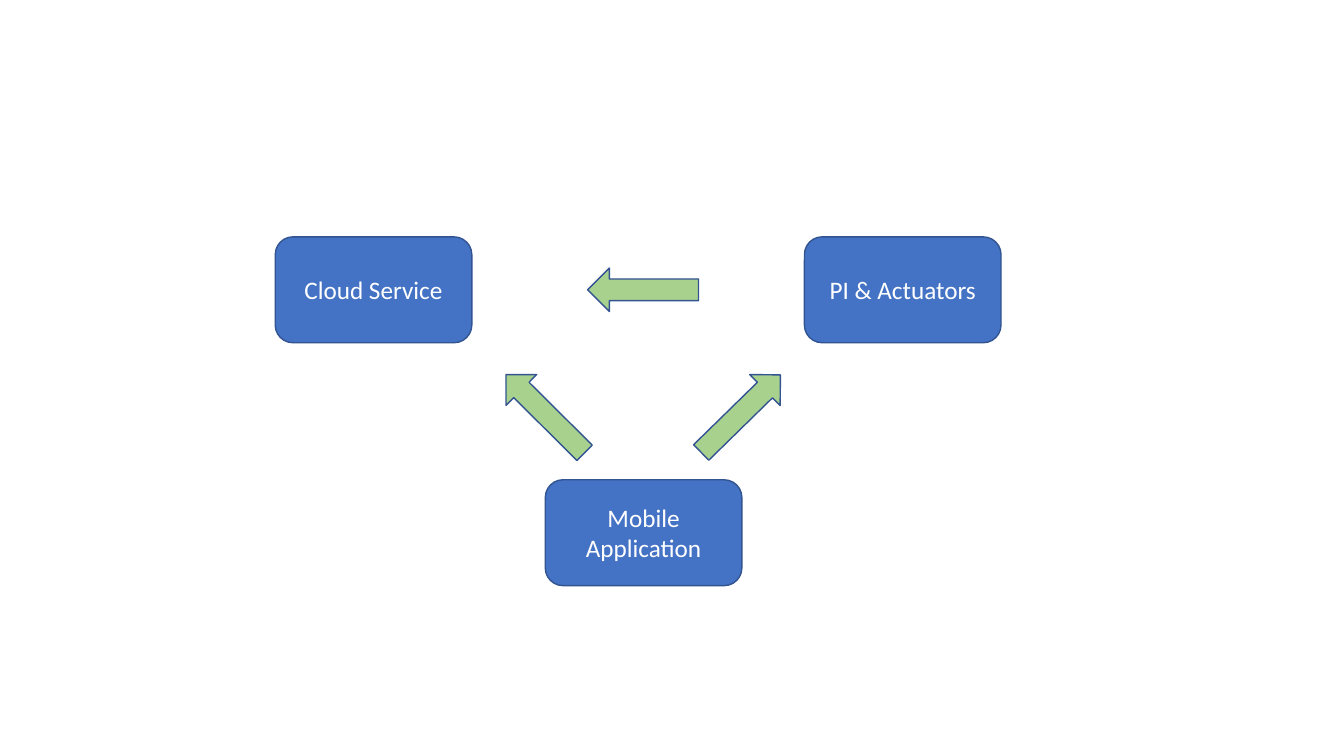
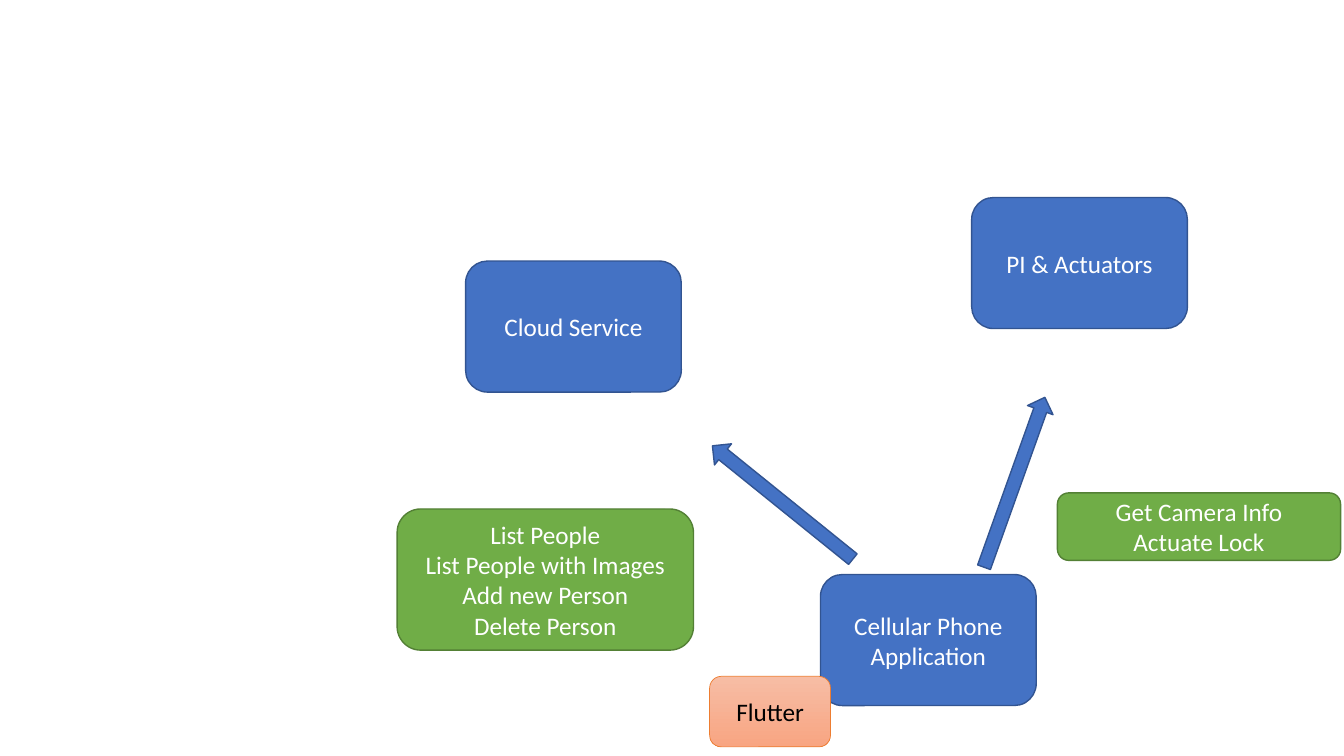
from dataclasses import dataclass

from pptx import Presentation
from pptx.dml.color import RGBColor
from pptx.enum.shapes import MSO_SHAPE
from pptx.enum.text import MSO_ANCHOR, PP_ALIGN
from pptx.shapes.autoshape import Shape
from pptx.slide import Slide
from pptx.util import Pt

FONT = "Calibri"
TEXT_SIZE = 18
WHITE = RGBColor(0xFF, 0xFF, 0xFF)
BLACK = RGBColor(0x00, 0x00, 0x00)
BLUE = RGBColor(0x44, 0x72, 0xC4)
NAVY = RGBColor(0x32, 0x54, 0x91)
GREEN = RGBColor(0x70, 0xAD, 0x47)
DARK_GREEN = RGBColor(0x53, 0x80, 0x35)
LIGHT_GREEN = RGBColor(0xA9, 0xD1, 0x8E)
ORANGE = RGBColor(0xED, 0x7D, 0x31)
PEACH = RGBColor(0xF7, 0xBD, 0xA5)
SALMON = RGBColor(0xF8, 0xA5, 0x82)


@dataclass(frozen=True)
class Look:
    """One fill colour, or two for a gradient from top to bottom."""
    fills: tuple[RGBColor, ...]
    outline: RGBColor
    outline_width: float = 1
    text: RGBColor = WHITE


@dataclass(frozen=True)
class Size:
    width: float
    height: float


@dataclass(frozen=True)
class Box:
    lines: tuple[str, ...]
    left: float
    top: float
    size: Size
    look: Look


@dataclass(frozen=True)
class Arrow:
    left: float
    top: float
    size: Size
    rotation: float
    look: Look


COMPONENT = Look((BLUE,), NAVY)
DATA_FLOW = Look((LIGHT_GREEN,), NAVY)
OPERATIONS = Look((GREEN,), DARK_GREEN)
TOOLKIT = Look((PEACH, SALMON), ORANGE, 0.5, BLACK)


def draw_shape(slide: Slide, kind: MSO_SHAPE, left: float, top: float,
               size: Size, look: Look) -> Shape:
    shape = slide.shapes.add_shape(
        kind, Pt(left), Pt(top), Pt(size.width), Pt(size.height))
    shape.shadow.inherit = False
    if len(look.fills) == 1:
        shape.fill.solid()
        shape.fill.fore_color.rgb = look.fills[0]
    else:
        shape.fill.gradient()
        shape.fill.gradient_angle = 270
        for stop, color in zip(shape.fill.gradient_stops, look.fills):
            stop.color.rgb = color
    shape.line.color.rgb = look.outline
    shape.line.width = Pt(look.outline_width)
    return shape


def draw_box(slide: Slide, box: Box) -> None:
    shape = draw_shape(slide, MSO_SHAPE.ROUNDED_RECTANGLE,
                       box.left, box.top, box.size, box.look)
    frame = shape.text_frame
    frame.word_wrap = True
    frame.vertical_anchor = MSO_ANCHOR.MIDDLE
    frame.text = "\n".join(box.lines)
    for paragraph in frame.paragraphs:
        paragraph.alignment = PP_ALIGN.CENTER
        paragraph.font.name = FONT
        paragraph.font.size = Pt(TEXT_SIZE)
        paragraph.font.color.rgb = box.look.text


def draw_arrow(slide: Slide, arrow: Arrow) -> None:
    shape = draw_shape(slide, MSO_SHAPE.RIGHT_ARROW,
                       arrow.left, arrow.top, arrow.size, arrow.look)
    shape.rotation = arrow.rotation


def draw_slide(deck: Presentation, parts: list[Box | Arrow]) -> None:
    slide = deck.slides.add_slide(deck.slide_layouts[6])
    for part in parts:
        if isinstance(part, Box):
            draw_box(slide, part)
        else:
            draw_arrow(slide, part)


# Overview: three components in a triangle
component = Size(140.4, 75.6)
flow = Size(79.2, 31)
upper_row, lower_row = 169.2, 342.7
flow_left, flow_step = 349.9, 69.85
side_flow_top = 280

overview = [
    Box(("Cloud Service",), 196.6, upper_row, component, COMPONENT),
    Box(("Mobile Application",), 389.5, lower_row, component, COMPONENT),
    Box(("PI & Actuators",), 574.6, upper_row, component, COMPONENT),
    *(Arrow(flow_left + column * flow_step, top, flow, rotation, DATA_FLOW)
      for column, (top, rotation) in enumerate([
          (side_flow_top, 224.8), (191.5, 180), (side_flow_top, 315.6)])),
]

# Detail: the phone application and the operations it calls
large_component = Size(154.1, 93.6)
call = Size(128.9, 19.4)

detail = [
    Box(("Cellular Phone Application",), 586.1, 410.4,
        large_component, COMPONENT),
    Arrow(494.6, 349.2, call, 218.9, COMPONENT),
    Arrow(660.2, 334.8, call, 289.7, COMPONENT),
    Box(("Flutter",), 506.9, 483.1, Size(86.4, 50.4), TOOLKIT),
    Box(("List People", "List People with Images", "Add new Person",
         "Delete Person"), 283.7, 363.6, Size(211.7, 100.8), OPERATIONS),
    Box(("Get Camera Info", "Actuate Lock"), 755.3, 352.1,
        Size(202.3, 48.2), OPERATIONS),
    Box(("Cloud Service",), 332.6, 186.5, large_component, COMPONENT),
    Box(("PI & Actuators",), 694.1, 141.1, large_component, COMPONENT),
]

deck = Presentation()
deck.slide_width, deck.slide_height = Pt(960), Pt(540)
for parts in (overview, detail):
    draw_slide(deck, parts)
deck.save("out.pptx")
